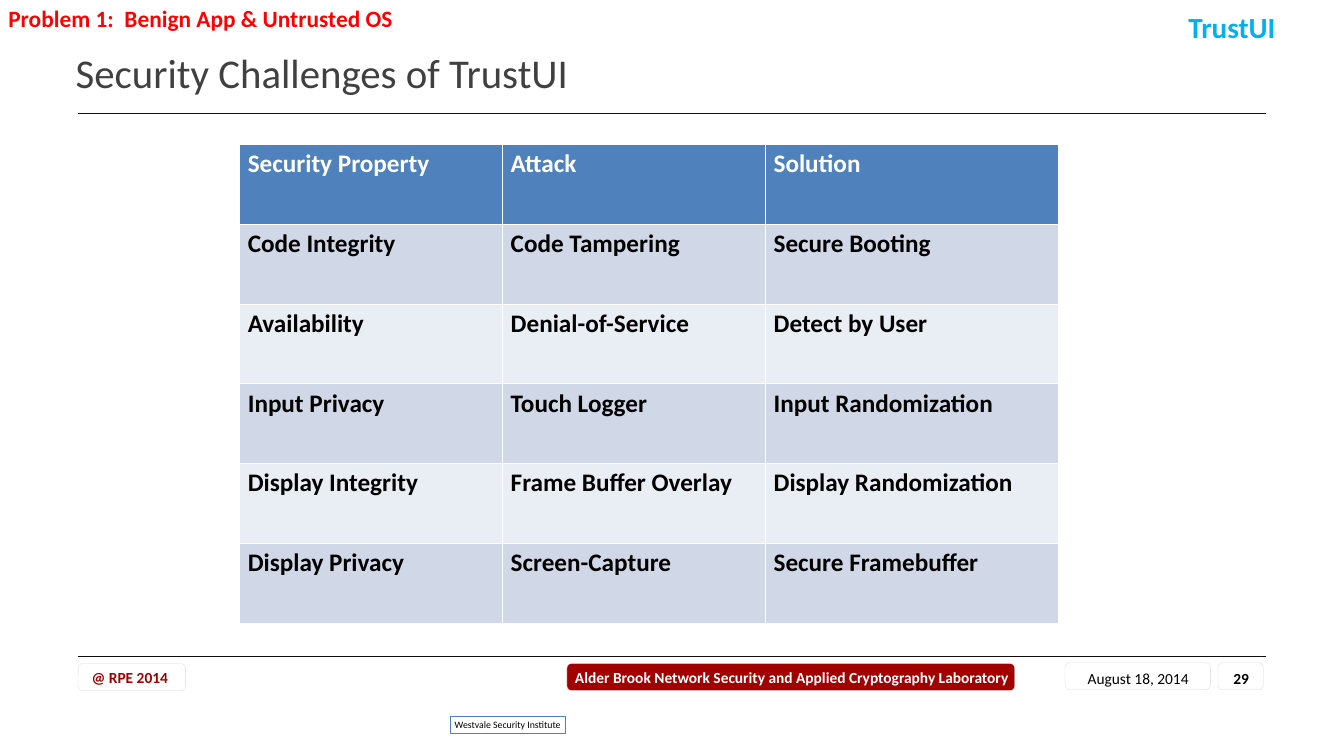
"""Build the security challenges slide with its table and footer."""
import pptx
import pptx.util
import pptx.dml.color
import pptx.enum.shapes
import pptx.enum.text
import pptx.oxml

RGB = pptx.dml.color.RGBColor
KIND = pptx.enum.shapes.MSO_SHAPE
ALIGN = pptx.enum.text.PP_ALIGN
MIDDLE = pptx.enum.text.MSO_ANCHOR.MIDDLE
NS = 'xmlns:a="http://schemas.openxmlformats.org/drawingml/2006/main"'

WHITE = RGB(0xFF, 0xFF, 0xFF)
BLACK = RGB(0, 0, 0)
INK = RGB(0x0D, 0x0D, 0x0D)
SLATE = RGB(0x40, 0x40, 0x40)
BLUE = RGB(0x4F, 0x81, 0xBD)
DARK = RGB(0xD0, 0xD8, 0xE8)
LIGHT = RGB(0xE9, 0xED, 0xF4)
CRIMSON = RGB(0xA1, 0x02, 0x00)
EDGE = RGB(0xD9, 0xD9, 0xD9)
RED = RGB(0xFF, 0, 0)
SKY = RGB(0x00, 0xB0, 0xF0)

deck = pptx.Presentation()
deck.slide_width = pptx.util.Inches(16)
deck.slide_height = pptx.util.Inches(9)
COL, ROW = deck.slide_width / 16, deck.slide_height / 9
slide = deck.slides.add_slide(deck.slide_layouts[5])
shapes = slide.shapes


def grid(left, top, width, height):
    return round(left * COL), round(top * ROW), round(width * COL), round(height * ROW)


def write(frame, text, size=13.2, color=BLACK, bold=False, align=ALIGN.LEFT, pad=None):
    frame.word_wrap = True
    if pad:
        frame.margin_left = frame.margin_right = round(pad[0] * COL)
        frame.margin_top = frame.margin_bottom = round(pad[1] * ROW)
    para = frame.paragraphs[0]
    para.alignment = align
    run = para.add_run()
    run.text = text
    run.font.name = "Calibri"
    run.font.size = pptx.util.Pt(size)
    run.font.bold = bold
    run.font.color.rgb = color


for level in (1.35, 7.82):
    rule = shapes.add_connector(pptx.enum.shapes.MSO_CONNECTOR.STRAIGHT,
                                *grid(0.93, level, 15.07, level))
    rule.line.color.rgb = INK
    rule.line.width = pptx.util.Pt(0.75)
    rule._element.spPr.append(pptx.oxml.parse_xml(f"<a:effectLst {NS}/>"))

frames = [
    (KIND.ROUNDED_RECTANGLE, (12.68, 7.89, 1.73, 0.32), None, EDGE),
    (KIND.ROUNDED_RECTANGLE, (14.5, 7.89, 0.54, 0.32), None, EDGE),
    (KIND.ROUNDED_RECTANGLE, (6.75, 7.9, 5.33, 0.32), CRIMSON, EDGE),
    (KIND.ROUNDED_RECTANGLE, (0.93, 7.9, 1.28, 0.32), None, EDGE),
    (KIND.RECTANGLE, (5.36, 8.52, 1.37, 0.21), WHITE, BLUE),
]
for kind, area, fill, edge in frames:
    badge = shapes.add_shape(kind, *grid(*area))
    badge.shadow.inherit = False
    badge.line.color.rgb = edge
    badge.line.width = pptx.util.Pt(0.25)
    if fill is None:
        badge.fill.background()
    else:
        badge.fill.solid()
        badge.fill.fore_color.rgb = fill
write(badge.text_frame, "Westvale Security Institute", size=8.4,
      align=ALIGN.CENTER, pad=(0.04, 0.04))

labels = [
    ("29", (14.44, 7.88, 0.67, 0.38), BLACK, True, ALIGN.CENTER),
    ("August 18, 2014", (12.62, 7.88, 1.86, 0.38), BLACK, False, ALIGN.CENTER),
    ("Alder Brook Network Security and Applied Cryptography Laboratory",
     (6.33, 7.87, 6.19, 0.38), WHITE, True, ALIGN.CENTER),
    ("@ RPE 2014", (0.93, 7.87, 1.28, 0.38), CRIMSON, True, ALIGN.LEFT),
]
for text, area, color, bold, align in labels:
    write(shapes.add_textbox(*grid(*area)).text_frame, text, color=color,
          bold=bold, align=align, pad=(0.16, 0.08))

title = shapes.title
title.left, title.top, title.width, title.height = grid(0.8, 0.24, 14.27, 1.24)
title.text_frame.vertical_anchor = MIDDLE
write(title.text_frame, "Security Challenges of TrustUI", size=35, color=SLATE)

rows = [
    ("Security Property", "Attack", "Solution"),
    ("Code Integrity", "Code Tampering", "Secure Booting"),
    ("Availability", "Denial-of-Service", "Detect by User"),
    ("Input Privacy", "Touch Logger", "Input Randomization"),
    ("Display Integrity", "Frame Buffer Overlay", "Display Randomization"),
    ("Display Privacy", "Screen-Capture", "Secure Framebuffer"),
]
table = shapes.add_table(len(rows), 3, *grid(2.85, 1.72, 9.75, 5.7)).table
for column, width in zip(table.columns, (3.13, 3.13, 3.49)):
    column.width = round(width * COL)
for r, row in enumerate(rows):
    for c, text in enumerate(row):
        cell = table.cell(r, c)
        write(cell.text_frame, text, size=21.6, bold=True, color=BLACK if r else WHITE)
        cell.fill.solid()
        cell.fill.fore_color.rgb = (DARK if r % 2 else LIGHT) if r else BLUE
        for spot, side in enumerate("LRTB"):
            cell._tc.get_or_add_tcPr().insert(spot, pptx.oxml.parse_xml(
                f'<a:ln{side} {NS} w="12700"><a:solidFill>'
                f'<a:srgbClr val="{WHITE}"/></a:solidFill></a:ln{side}>'))

heads = [
    ("Problem 1:  Benign App & Untrusted OS", (0, 0, 6.25, 0.44), 20, RED),
    ("TrustUI", (14.05, 0.06, 1.92, 0.52), 25, SKY),
]
for text, area, size, color in heads:
    write(shapes.add_textbox(*grid(*area)).text_frame, text, size=size,
          color=color, bold=True)

deck.save("out.pptx")
